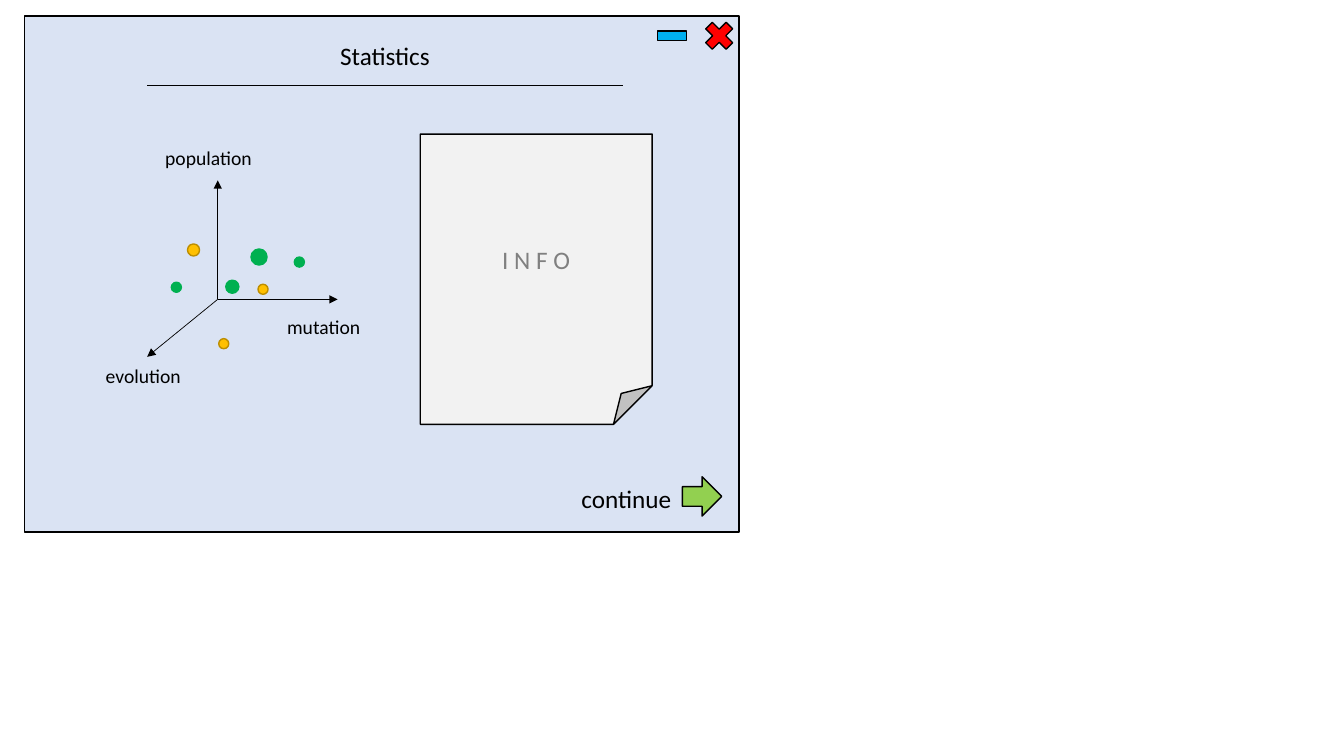
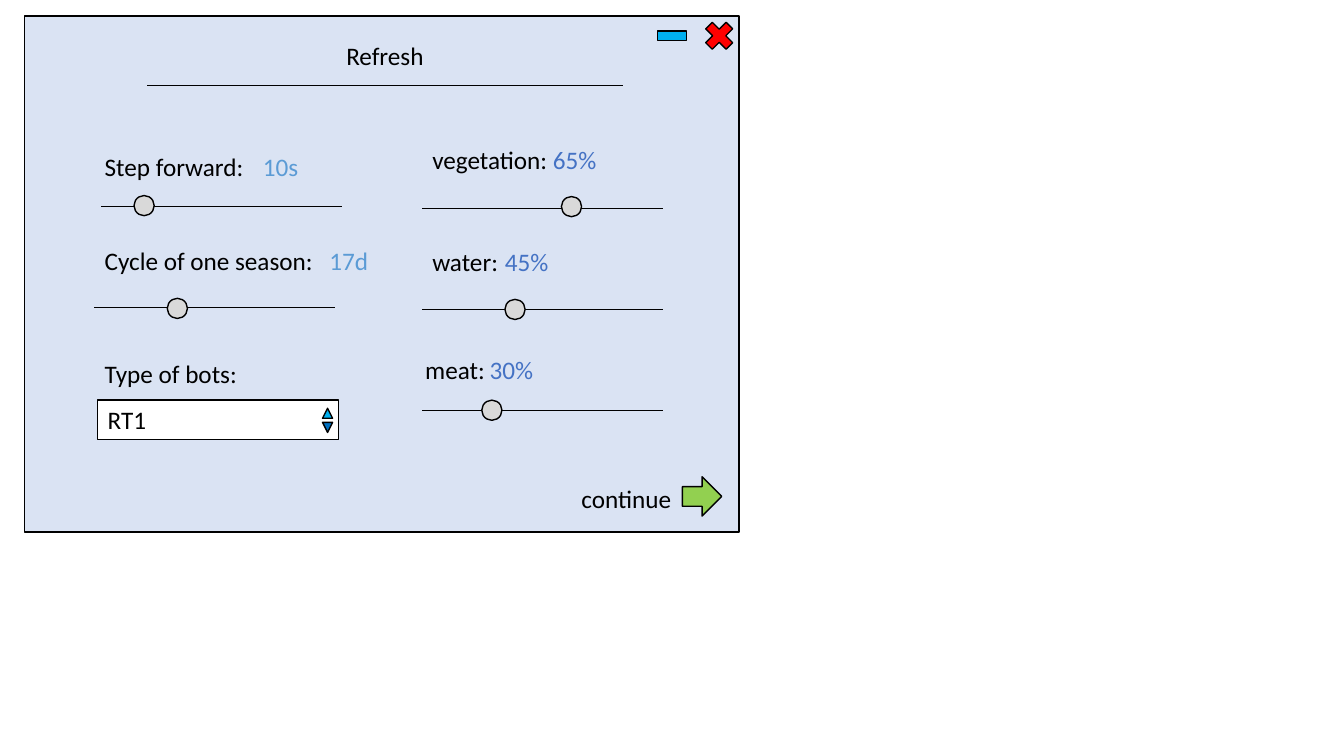
from dataclasses import dataclass
from typing import Any, NamedTuple, Optional

from lxml import etree
from pptx import Presentation
from pptx.dml.color import RGBColor
from pptx.enum.shapes import MSO_CONNECTOR, MSO_SHAPE
from pptx.enum.text import MSO_ANCHOR, MSO_AUTO_SIZE, PP_ALIGN
from pptx.oxml.ns import qn
from pptx.shapes.autoshape import Shape
from pptx.slide import Slide
from pptx.util import Pt

STRAIGHT = MSO_CONNECTOR.STRAIGHT
RECTANGLE = MSO_SHAPE.RECTANGLE
CROSS = MSO_SHAPE.MATH_MULTIPLY
MINUS = MSO_SHAPE.MATH_MINUS
RIGHT_ARROW = MSO_SHAPE.RIGHT_ARROW
PAGE = MSO_SHAPE.FOLDED_CORNER
OVAL = MSO_SHAPE.OVAL
TRIANGLE = MSO_SHAPE.ISOSCELES_TRIANGLE
TOP, MIDDLE = MSO_ANCHOR.TOP, MSO_ANCHOR.MIDDLE
LEFT, CENTER = PP_ALIGN.LEFT, PP_ALIGN.CENTER
NO_AUTOSIZE = MSO_AUTO_SIZE.NONE
TITLE_ONLY_LAYOUT = 5


@dataclass(frozen=True)
class Theme:
    font: str = "Calibri"
    text_size: int = 18
    axis_size: int = 14
    outline: float = 1
    hairline: float = 0.5
    ink: str = "000000"
    white: str = "FFFFFF"
    window: str = "DAE3F3"
    close: str = "FF0000"
    sky: str = "00B0F0"
    deep_blue: str = "0070C0"
    go: str = "92D050"
    paper: str = "F2F2F2"
    muted: str = "808080"
    knob: str = "D9D9D9"
    time_value: str = "5B9BD5"
    share_value: str = "4472C4"
    green: str = "00B050"
    gold: str = "FFC000"
    gold_edge: str = "BD8E00"


THEME = Theme()


class Box(NamedTuple):
    left: float
    top: float
    width: float
    height: float


class Point(NamedTuple):
    x: float
    y: float


class Axis(NamedTuple):
    name: str
    tip: Point
    label: Point


class Dot(NamedTuple):
    left: float
    top: float
    size: float
    fill: str
    edge: str


@dataclass(frozen=True)
class Slider:
    name: str
    label: Point
    value: str
    value_color: str
    track: Point
    knob: Point
    value_left: Optional[float] = None


SLIDE_SIZE = Point(960, 540)
WINDOW = Box(17.28, 11.52, 510.48, 368.64)
ICON = 28.08
TITLE = Box(105, 25.2, 340, 28.8)
TITLE_RULE = (Point(105.12, 61.2), Point(444.96, 61.2))
TEXT_HEIGHT = 28.8
COLUMN_WIDTH = 172.08
KNOB = 14.4

ORIGIN = Point(155.52, 213.84)
AXES = (
    Axis("population", Point(155.52, 128.88), Point(110.88, 100.8)),
    Axis("mutation", Point(241.2, 213.84), Point(198, 221.76)),
    Axis("evolution", Point(105.12, 254.88), Point(68.4, 256.32)),
)
GREEN_PAIR = (THEME.green, THEME.green)
GOLD_PAIR = (THEME.gold, THEME.gold_edge)
DOTS = (
    Dot(122.4, 201.6, 7.2, *GREEN_PAIR),
    Dot(179.28, 177.84, 11.52, *GREEN_PAIR),
    Dot(161.28, 200.16, 9.36, *GREEN_PAIR),
    Dot(184.32, 203.04, 7.2, *GOLD_PAIR),
    Dot(133.92, 174.24, 8.64, *GOLD_PAIR),
    Dot(210.24, 183.6, 7.2, *GREEN_PAIR),
    Dot(156.24, 241.92, 7.2, *GOLD_PAIR),
)
INFO_PAGE = Box(300.24, 95.76, 165.6, 207.36)

SLIDERS = (
    Slider("Step forward:", Point(67.68, 104.4), "10s", THEME.time_value,
           Point(72.4, 147.24), Point(102.96, 146.88), 180.72),
    Slider("Cycle of one season:", Point(67.68, 171.72), "17d", THEME.time_value,
           Point(67.5, 219.6), Point(126.72, 220.32), 228.24),
    Slider("vegetation:", Point(301.68, 99.36), "65%", THEME.share_value,
           Point(301.68, 149.04), Point(408.24, 147.6)),
    Slider("water:", Point(301.68, 172.08), "45%", THEME.share_value,
           Point(301.68, 220.68), Point(367.92, 221.04), 353.52),
    Slider("meat:", Point(296.64, 249.48), "30%", THEME.share_value,
           Point(301.68, 293.04), Point(351.36, 293.04), 342.72),
)
BOT_LABEL = Box(67.68, 252.72, COLUMN_WIDTH, TEXT_HEIGHT)
BOT_FIELD = Box(69.84, 285.84, COLUMN_WIDTH, 28.08)
SPINNER = Box(230.4, 291.6, 7.2, 7.2)
SPINNER_STEP = 10.08


def set_attributes(target: Any, values: dict[str, Any]) -> None:
    for attribute, value in values.items():
        setattr(target, attribute, value)


def to_points(box: Box) -> tuple[Pt, ...]:
    return tuple(Pt(length) for length in box)


def write(holder: Shape, runs: tuple[tuple[str, str], ...], size: float = THEME.text_size,
          align: PP_ALIGN = LEFT, anchor: MSO_ANCHOR = TOP, wrap: bool = True) -> None:
    frame = holder.text_frame
    set_attributes(frame, {
        "word_wrap": wrap,
        "auto_size": NO_AUTOSIZE,
        "vertical_anchor": anchor,
        "margin_left": Pt(7.2),
        "margin_right": Pt(7.2),
        "margin_top": Pt(3.6),
        "margin_bottom": Pt(3.6),
    })
    paragraph = frame.paragraphs[0]
    paragraph.alignment = align
    for words, color in runs:
        run = paragraph.add_run()
        run.text = words
        set_attributes(run.font, {"name": THEME.font, "size": Pt(size), "bold": False})
        run.font.color.rgb = RGBColor.from_string(color)


def add_label(slide: Slide, box: Box, *runs: tuple[str, str],
              size: float = THEME.text_size, wrap: bool = True) -> None:
    write(slide.shapes.add_textbox(*to_points(box)), runs, size, wrap=wrap)


def add_figure(slide: Slide, kind: MSO_SHAPE, box: Box, fill: str,
               edge: str = THEME.ink) -> Shape:
    figure = slide.shapes.add_shape(kind, *to_points(box))
    figure.shadow.inherit = False
    figure.fill.solid()
    figure.fill.fore_color.rgb = RGBColor.from_string(fill)
    figure.line.color.rgb = RGBColor.from_string(edge)
    figure.line.width = Pt(THEME.outline)
    return figure


def add_line(slide: Slide, start: Point, end: Point, arrow: bool = False) -> None:
    line = slide.shapes.add_connector(
        STRAIGHT, Pt(start.x), Pt(start.y), Pt(end.x), Pt(end.y))
    line.line.color.rgb = RGBColor.from_string(THEME.ink)
    line.line.width = Pt(THEME.hairline)
    if arrow:
        etree.SubElement(line.get_or_add_ln(), qn("a:tailEnd"), type="triangle")
    etree.SubElement(line.element.spPr, qn("a:effectLst"))


def add_window(deck: Any, heading: str) -> Slide:
    slide = deck.slides.add_slide(deck.slide_layouts[TITLE_ONLY_LAYOUT])
    add_figure(slide, RECTANGLE, WINDOW, THEME.window)
    add_figure(slide, CROSS, Box(499.68, 11.52, ICON, ICON), THEME.close)
    add_figure(slide, MINUS, Box(465.84, 11.52, ICON, ICON), THEME.sky)
    add_line(slide, *TITLE_RULE)
    title = slide.shapes.title
    set_attributes(title, dict(zip(TITLE._fields, to_points(TITLE))))
    write(title, ((heading, THEME.ink),), align=CENTER)
    slide.shapes.element.append(title.element)
    add_figure(slide, RIGHT_ARROW, Box(487.44, 340.56, ICON, ICON), THEME.go)
    add_label(slide, Box(408.24, 342, 79.92, TEXT_HEIGHT), ("continue", THEME.ink), wrap=False)
    return slide


def add_slider(slide: Slide, slider: Slider) -> None:
    name, value = (slider.name, THEME.ink), (slider.value, slider.value_color)
    label_box = Box(*slider.label, COLUMN_WIDTH, TEXT_HEIGHT)
    if slider.value_left is None:
        add_label(slide, label_box, name, (f" {slider.value}", slider.value_color))
    else:
        add_label(slide, label_box, name)
        add_label(slide, Box(slider.value_left, slider.label.y, 56.88, TEXT_HEIGHT), value)
    add_line(slide, slider.track, Point(slider.track.x + COLUMN_WIDTH, slider.track.y))
    knob_box = Box(slider.knob.x - KNOB / 2, slider.knob.y - KNOB / 2, KNOB, KNOB)
    add_figure(slide, OVAL, knob_box, THEME.knob)


def build_statistics(deck: Any) -> None:
    slide = add_window(deck, "Statistics")
    for axis in AXES:
        add_line(slide, ORIGIN, axis.tip, arrow=True)
        add_label(slide, Box(*axis.label, 129.6, 24.48), (axis.name, THEME.ink),
                  size=THEME.axis_size)
    info = add_figure(slide, PAGE, INFO_PAGE, THEME.paper)
    write(info, (("I N F O", THEME.muted),), align=CENTER, anchor=MIDDLE)
    for dot in DOTS:
        add_figure(slide, OVAL, Box(dot.left, dot.top, dot.size, dot.size), dot.fill, dot.edge)


def build_refresh(deck: Any) -> None:
    slide = add_window(deck, "Refresh")
    for slider in SLIDERS:
        add_slider(slide, slider)
    add_label(slide, BOT_LABEL, ("Type of bots:", THEME.ink))
    bot_field = add_figure(slide, RECTANGLE, BOT_FIELD, THEME.white)
    write(bot_field, (("RT1", THEME.ink),), anchor=MIDDLE)
    add_figure(slide, TRIANGLE, SPINNER, THEME.sky)
    down = add_figure(slide, TRIANGLE, SPINNER._replace(top=SPINNER.top + SPINNER_STEP),
                      THEME.deep_blue)
    down.rotation = 180


def main() -> None:
    deck = Presentation()
    set_attributes(deck, {"slide_width": Pt(SLIDE_SIZE.x), "slide_height": Pt(SLIDE_SIZE.y)})
    build_statistics(deck)
    build_refresh(deck)
    deck.save("out.pptx")


if __name__ == "__main__":
    main()
